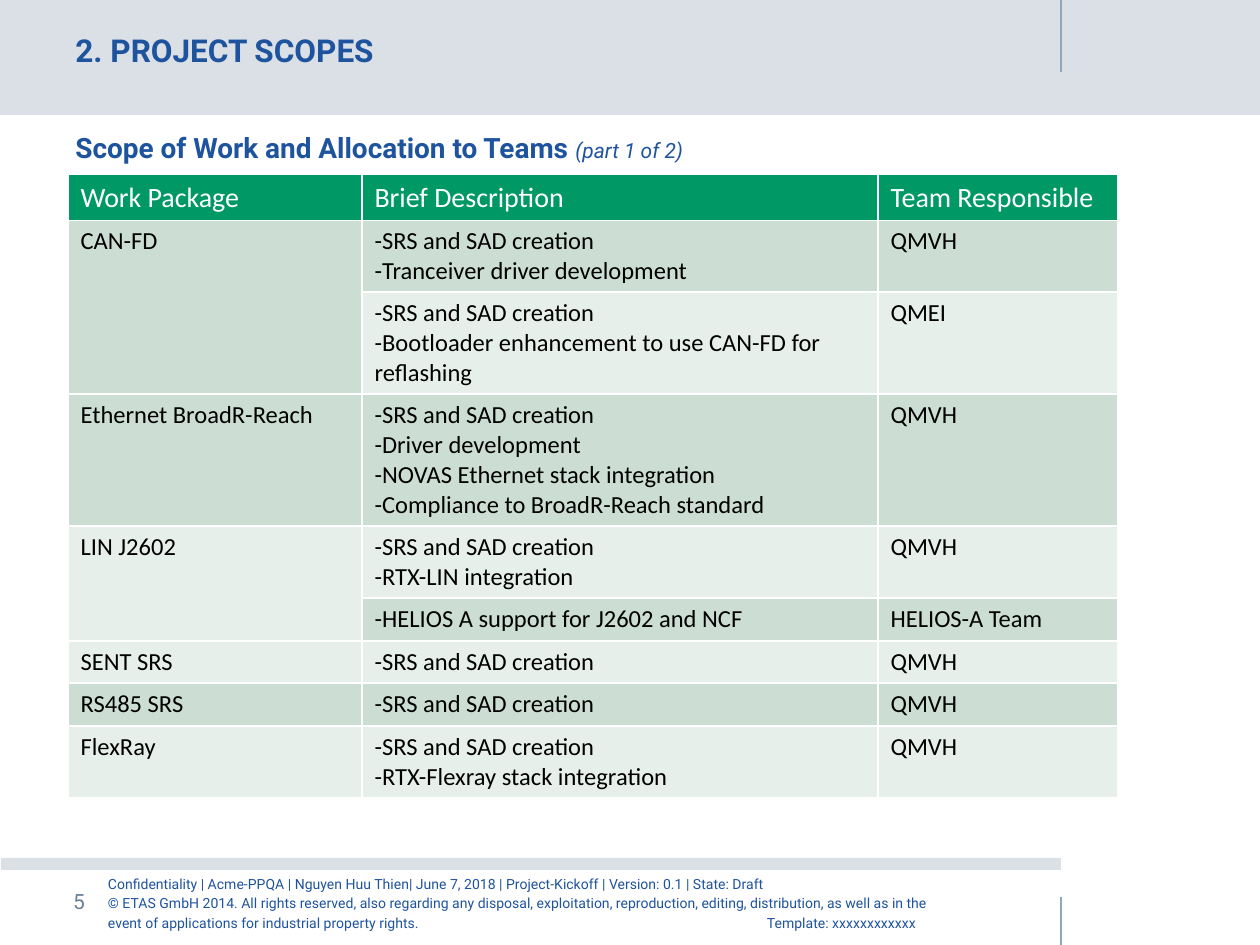
from dataclasses import dataclass

from lxml.etree import SubElement
from pptx import Presentation
from pptx.dml.color import RGBColor
from pptx.enum.shapes import MSO_CONNECTOR, MSO_SHAPE
from pptx.oxml.ns import qn
from pptx.util import Emu, Pt


@dataclass(frozen=True)
class Theme:
    blue: str = "1E539E"
    slate: str = "6B8298"
    rule: str = "92A6B9"
    band: str = "DAE0E5"
    white: str = "FFFFFF"
    black: str = "000000"
    header: str = "009966"
    dark_row: str = "CCDED3"
    light_row: str = "E7EFEA"
    heading_font: str = "Roboto"
    table_font: str = "Calibri"
    title_size: int = 18
    heading_size: int = 16
    cell_size: int = 14
    note_size: int = 12
    footer_size: int = 8
    border: int = 1
    rule_width: float = 0.75


def px(length):
    return Emu(round(length * 914400 / 126))


def apply(target, values):
    for name, value in values.items():
        setattr(target, name, value)


class SlideBuilder:
    def __init__(self, slide, theme):
        self.slide = slide
        self.theme = theme

    def style(self, font, color, size, name=None, **extras):
        apply(font, {"name": name or self.theme.heading_font, "size": Pt(size), **extras})
        font.color.rgb = RGBColor.from_string(color)

    def band(self, *box):
        bar = self.slide.shapes.add_shape(MSO_SHAPE.RECTANGLE, *map(px, box))
        bar.shadow.inherit = False
        bar.fill.solid()
        bar.fill.fore_color.rgb = RGBColor.from_string(self.theme.band)
        bar.line.fill.background()

    def vertical_rule(self, x, top, bottom):
        rule = self.slide.shapes.add_connector(
            MSO_CONNECTOR.STRAIGHT, *map(px, (x, top, x, bottom)))
        rule.line.color.rgb = RGBColor.from_string(self.theme.rule)
        rule.line.width = Pt(self.theme.rule_width)
        SubElement(rule._element.spPr, qn("a:effectLst"))

    def text(self, box, paragraphs, spacing, frame_format=None, tab=None):
        frame = self.slide.shapes.add_textbox(*map(px, box)).text_frame
        apply(frame, {"word_wrap": True, **(frame_format or {})})
        for index, runs in enumerate(paragraphs):
            paragraph = frame.add_paragraph() if index else frame.paragraphs[0]
            if tab:
                stops = SubElement(paragraph._p.get_or_add_pPr(), qn("a:tabLst"))
                SubElement(stops, qn("a:tab"), pos=str(px(tab)), algn="l")
            paragraph.line_spacing = spacing
            for wording, font_format in runs:
                run = paragraph.add_run()
                run.text = wording
                self.style(run.font, **font_format)

    def cell(self, cell, wording, fill, color, size):
        properties = cell._tc.get_or_add_tcPr()
        for side in ("lnL", "lnR", "lnT", "lnB"):
            edge = SubElement(properties, qn(f"a:{side}"), w=str(Pt(self.theme.border)))
            paint = SubElement(edge, qn("a:solidFill"))
            SubElement(paint, qn("a:srgbClr"), val=self.theme.white)
        cell.fill.solid()
        cell.fill.fore_color.rgb = RGBColor.from_string(fill)
        cell.text = wording
        for paragraph in cell.text_frame.paragraphs:
            self.style(paragraph.font, color, size, self.theme.table_font, bold=False)

    def table(self, left, top, widths, heights, headings, rows):
        theme = self.theme
        table = self.slide.shapes.add_table(
            len(heights), len(widths),
            *map(px, (left, top, sum(widths), sum(heights)))).table
        table.horz_banding = False
        for column, width in zip(table.columns, widths):
            column.width = px(width)
        for row, height in zip(table.rows, heights):
            row.height = px(height)
        for column, heading in enumerate(headings):
            self.cell(table.cell(0, column), heading,
                      theme.header, theme.white, theme.heading_size)
        for index, (fill, *wordings) in enumerate(rows, 1):
            for column, wording in enumerate(wordings):
                self.cell(table.cell(index, column), wording,
                          fill, theme.black, theme.cell_size)
            if not wordings[0]:
                table.cell(index - 1, 0).merge(table.cell(index, 0))


def main():
    theme = Theme()
    deck = Presentation()
    apply(deck, {"slide_width": px(1260), "slide_height": px(945)})
    page = SlideBuilder(deck.slides.add_slide(deck.slide_layouts[6]), theme)

    title = {"color": theme.blue, "size": theme.title_size, "bold": True}
    heading = {**title, "size": theme.heading_size}
    part = {"color": theme.blue, "size": theme.note_size, "italic": True}
    page_number = {"color": theme.slate, "size": theme.note_size}
    footer = {"color": theme.blue, "size": theme.footer_size}

    page.vertical_rule(1061, 897, 945)
    page.text((73, 886, 55, 34), [[("5", page_number)]], 1.11,
              {"word_wrap": False, "margin_left": 0, "margin_top": 0,
               "margin_right": 0, "margin_bottom": 0})
    page.band(1, 858, 1060, 12)
    page.text((108, 867, 858, 72), [
        [("Confidentiality | Acme-PPQA | Nguyen Huu Thien| June 7, 2018 "
          "| Project-Kickoff | Version: 0.1 | State: Draft", footer)],
        [("© ETAS GmbH 2014. All rights reserved, also regarding any disposal, "
          "exploitation, reproduction, editing, distribution, as well as in the "
          "event of applications for industrial property rights."
          "\tTemplate: xxxxxxxxxxxx", footer)],
    ], Pt(11), {"margin_left": 0}, tab=659)
    page.band(0, 0, 1260, 115)
    page.vertical_rule(1061, 0, 72)
    page.text((63, 119, 1000, 43), [
        [("Scope of Work and Allocation to Teams ", heading), ("(part 1 of 2)", part)],
    ], Pt(22))
    page.text((63, 24, 966, 39), [[("2. PROJECT SCOPES", title)]], Pt(22))

    creation = "-SRS and SAD creation"
    dark, light = theme.dark_row, theme.light_row
    page.table(
        68, 174, (294, 516, 240), (46, 72, 102, 132, 72, 43, 42, 43, 72),
        ("Work Package", "Brief Description", "Team Responsible"),
        [
            (dark, "CAN-FD", f"{creation}\n-Tranceiver driver development", "QMVH"),
            (light, "", f"{creation}\n-Bootloader enhancement to use CAN-FD for reflashing",
             "QMEI"),
            (dark, "Ethernet BroadR-Reach",
             f"{creation}\n-Driver development\n-NOVAS Ethernet stack integration\n"
             "-Compliance to BroadR-Reach standard", "QMVH"),
            (light, "LIN J2602", f"{creation}\n-RTX-LIN integration", "QMVH"),
            (dark, "", "-HELIOS A support for J2602 and NCF", "HELIOS-A Team"),
            (light, "SENT SRS", creation, "QMVH"),
            (dark, "RS485 SRS", creation, "QMVH"),
            (light, "FlexRay", f"{creation}\n-RTX-Flexray stack integration", "QMVH"),
        ])
    deck.save("out.pptx")


if __name__ == "__main__":
    main()
